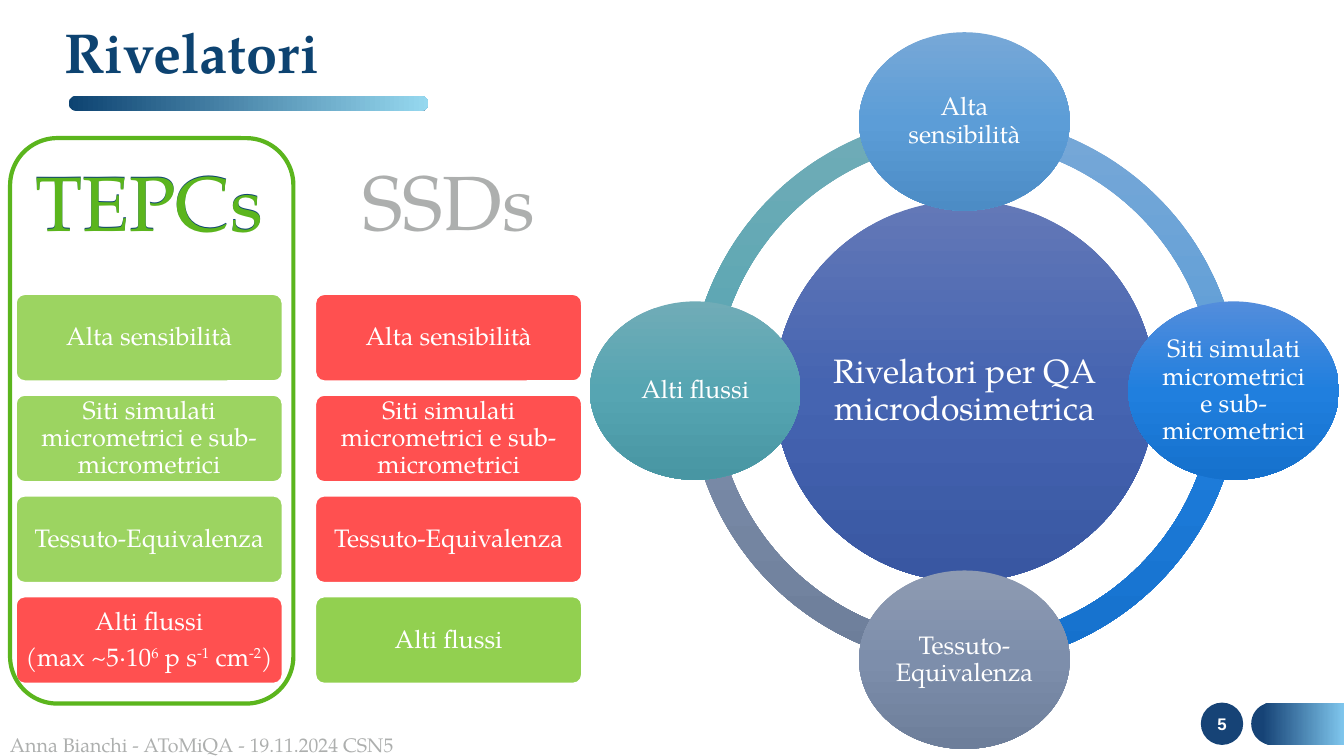
"""Build the slide that compares TEPC and SSD detectors."""
import math

import lxml.etree
import pptx
import pptx.dml.color
import pptx.enum.shapes
import pptx.enum.text
import pptx.oxml.ns
import pptx.util

Inches = pptx.util.Inches
Pt = pptx.util.Pt
MSO = pptx.enum.shapes.MSO_SHAPE
ALIGN = pptx.enum.text.PP_ALIGN
ANCHOR = pptx.enum.text.MSO_ANCHOR
qn = pptx.oxml.ns.qn
rgb = pptx.dml.color.RGBColor.from_string

SERIF = "TeX Gyre Pagella"
NAVY, GREEN, GREY, WHITE = "0D4371", "5BB51D", "ADAFAE", "FFFFFF"
YES, NO = "92D050", "FF5050"


def paint(sp, colours, angle=270, positions=(0, 50, 100)):
    """Fill a shape with one colour or a gradient, without line or shadow."""
    sp.shadow.inherit = False
    sp.line.fill.background()
    if len(colours) == 1:
        sp.fill.solid()
        sp.fill.fore_color.rgb = rgb(colours[0])
        return
    sp.fill.gradient()
    sp.fill.gradient_angle = angle
    stops = next(sp._element.iter(qn("a:gsLst")))
    for stop in list(stops):
        stops.remove(stop)
    for position, colour in zip(positions, colours):
        stop = lxml.etree.SubElement(stops, qn("a:gs"), pos=str(position * 1000))
        lxml.etree.SubElement(stop, qn("a:srgbClr"), val=colour)


def write(sp, text, size, colour=WHITE, inset=(0.03, 0.03), align=ALIGN.CENTER,
          anchor=ANCHOR.MIDDLE, font=SERIF, bold=False, spacing=0.9):
    """Write paragraphs split at newlines, with superscripts between carets."""
    tf = sp.text_frame
    tf.word_wrap = True
    tf.vertical_anchor = anchor
    tf.margin_left = tf.margin_right = Inches(inset[0])
    tf.margin_top = tf.margin_bottom = Inches(inset[1])
    lines = text.split("\n")
    for i, line in enumerate(lines):
        p = tf.paragraphs[0] if i == 0 else tf.add_paragraph()
        p.alignment = align
        p.line_spacing = spacing
        p.space_before = Pt(0)
        p.space_after = Pt(size * 0.35 if i < len(lines) - 1 else 0)
        p.font.name = font
        p.font.size = Pt(size)
        p.font.bold = bold
        p.font.color.rgb = rgb(colour)
        for j, part in enumerate(line.split("^")):
            r = p.add_run()
            r.text = part
            if j % 2:
                r._r.get_or_add_rPr().set("baseline", "30000")


prs = pptx.Presentation()
prs.slide_width, prs.slide_height = Inches(13.33), Inches(7.5)
s = prs.slides.add_slide(prs.slide_layouts[5])
shapes = s.shapes

title = shapes.title
title.left, title.top = Inches(0.54), Inches(0.18)
title.width, title.height = Inches(12.21), Inches(0.72)
write(title, "Rivelatori", 40, NAVY, (0.1, 0.05), ALIGN.LEFT, ANCHOR.BOTTOM, bold=True)

underline = shapes.add_shape(
    MSO.ROUNDED_RECTANGLE, Inches(0.68), Inches(0.95), Inches(3.57), Inches(0.15))
underline.adjustments[0] = 0.5
paint(underline, (NAVY, "96D8EF"), 0, (0, 100))

radius = 0.21
curve = [(12.62 - radius * math.sin(math.radians(a)),
          7.18 - radius * math.cos(math.radians(a))) for a in range(0, 181, 6)]
outline = [(Inches(x), Inches(y)) for x, y in curve + [(13.33, 7.39), (13.33, 6.97)]]
builder = shapes.build_freeform(*outline[0], scale=1.0)
builder.add_line_segments(outline[1:], close=True)
paint(builder.convert_to_shape(), ("164376", "7FC6ED"), 0, (12, 100))

number = shapes.add_shape(MSO.OVAL, Inches(11.91), Inches(6.97), Inches(0.42), Inches(0.42))
paint(number, ("164376",))
write(number, "5", 12, inset=(0, 0), font="Arial", bold=True, spacing=1.0)

criteria = ("Alta sensibilità", "Siti simulati micrometrici e sub-micrometrici",
            "Tessuto-Equivalenza")
detectors = (
    ("TEPCs", NAVY, criteria + ("Alti flussi\n(max ~5·10^6^ p s^-1^ cm^-2^)",),
     (YES, YES, YES, NO), 90),
    ("SSDs", GREY, criteria + ("Alti flussi",), (NO, NO, NO, YES), 100),
)
for column, (name, colour, labels, fills, opacity) in enumerate(detectors):
    left = 0.1 + 2.97 * column
    heading = shapes.add_textbox(Inches(left), Inches(1.15), Inches(2.76), Inches(1.78))
    write(heading, name, 55, colour, (0.23, 0.23))
    for row, (label, fill) in enumerate(zip(labels, fills)):
        card = shapes.add_shape(MSO.ROUNDED_RECTANGLE, Inches(left + 0.06),
                                Inches(2.92 + row), Inches(2.64), Inches(0.86))
        card.adjustments[0] = 0.1
        paint(card, (fill,))
        if fill == YES and opacity < 100:
            tint = next(card._element.spPr.iter(qn("a:srgbClr")))
            lxml.etree.SubElement(tint, qn("a:alpha"), val=str(opacity * 1000))
        card.line.color.rgb = rgb(WHITE)
        card.line.width = Pt(1)
        write(card, label, 18, inset=(0.05, 0.04))

frame = shapes.add_shape(
    MSO.ROUNDED_RECTANGLE, Inches(0.1), Inches(1.37), Inches(2.81), Inches(5.61))
frame.shadow.inherit = False
frame.fill.background()
frame.line.color.rgb = rgb(GREEN)
frame.line.width = Pt(3)

highlight = shapes.add_textbox(Inches(0.25), Inches(1.48), Inches(2.56), Inches(1.03))
write(highlight, "TEPCs", 55, GREEN, (0.1, 0.05), ALIGN.LEFT, ANCHOR.TOP, spacing=1.0)

footer = shapes.add_textbox(Inches(0), Inches(7.22), Inches(7.01), Inches(0.28))
write(footer, "Anna Bianchi - AToMiQA - 19.11.2024 CSN5", 14, GREY, (0.1, 0.05),
      ALIGN.LEFT, ANCHOR.TOP, spacing=1.0)

SKY = ("77A8D7", "5C9DD7", "4C8CC5")
BLUE = ("538DDC", "207FDE", "1571CD")
SLATE = ("8E9BB2", "7D8EAB", "6D7E9A")
TEAL = ("70ACB7", "56A5B2", "4896A3")
arcs = ((6.83, 1.14, 108.65, TEAL), (6.83, 1.03, 54.65, SLATE),
        (6.72, 1.03, 0.65, BLUE), (6.72, 1.14, 162.65, SKY))
for left, top, start, colours in arcs:
    arc = shapes.add_shape(
        MSO.BLOCK_ARC, Inches(left), Inches(top), Inches(5.58), Inches(5.58))
    for i, value in enumerate((start, start + 52.7, 0.046)):
        arc.adjustments[i] = value
    paint(arc, colours)

hub = shapes.add_shape(MSO.OVAL, Inches(7.68), Inches(1.99), Inches(3.78), Inches(3.78))
paint(hub, ("6378B7", "4564B1", "3957A2"))
write(hub, "Rivelatori per QA microdosimetrica", 24)

nodes = ((0, -1, criteria[0], SKY), (1, 0, criteria[1], BLUE),
         (0, 1, criteria[2], SLATE), (-1, 0, "Alti flussi", TEAL))
for dx, dy, label, colours in nodes:
    node = shapes.add_shape(MSO.OVAL, Inches(8.52 + 2.67 * dx), Inches(2.99 + 2.67 * dy),
                            Inches(2.09), Inches(1.77))
    paint(node, colours)
    write(node, label, 18)

prs.save("out.pptx")
